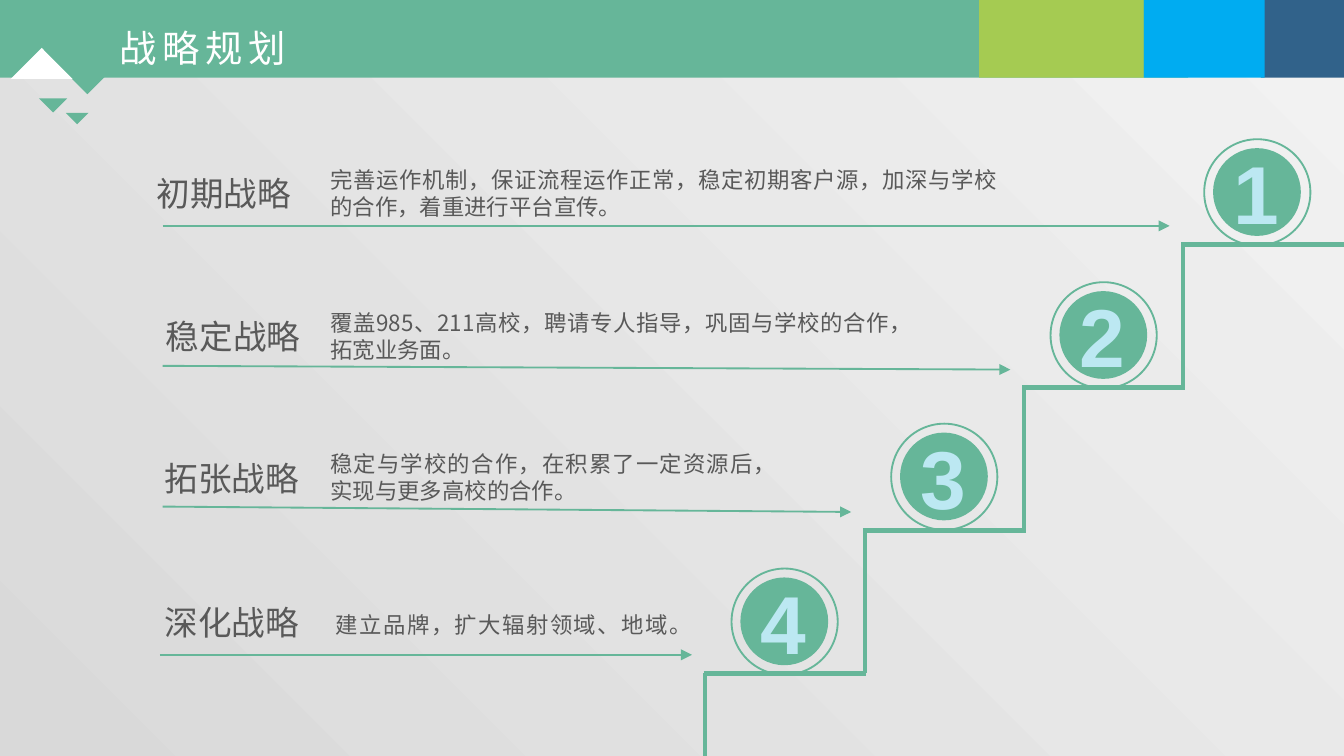
from dataclasses import dataclass

from lxml import etree
from pptx import Presentation
from pptx import util as u
from pptx.dml.color import RGBColor
from pptx.enum import shapes, text
from pptx.oxml.ns import qn


@dataclass
class Theme:
    green: str = "66B699"
    lime: str = "A5CB52"
    sky: str = "00ACF1"
    navy: str = "31628A"
    white: str = "FFFFFF"
    ink: str = "595959"
    pale: str = "BCE8F2"
    dark: str = "D9D9D9"
    light: str = "F2F2F2"
    head: int = 20
    label: int = 18
    body: int = 12
    digit: int = 44
    thin: float = 1
    thick: float = 2.25
    hans: str = "Noto Sans CJK SC"
    latin: str = "Arial"


def tint(code):
    return RGBColor.from_string(code)


class Deck:
    def __init__(self, theme):
        self.theme = theme
        self.show = Presentation()
        self.show.slide_width = u.Pt(720)
        self.show.slide_height = u.Pt(405)
        self.slide = self.show.slides.add_slide(self.show.slide_layouts[5])
        self.items = self.slide.shapes

    def back(self):
        fill = self.slide.background.fill
        fill.gradient()
        fill.gradient_angle = 45
        for stop, code in zip(fill.gradient_stops, (self.theme.dark, self.theme.light)):
            stop.color.rgb = tint(code)

    def paint(self, shape, fill=None, line=None, width=0):
        shape.shadow.inherit = False
        if fill:
            shape.fill.solid()
            shape.fill.fore_color.rgb = tint(fill)
        else:
            shape.fill.background()
        if line:
            shape.line.color.rgb = tint(line)
            shape.line.width = u.Pt(width)
        else:
            shape.line.fill.background()

    def block(self, x, y, w, h, fill):
        kind = shapes.MSO_SHAPE.RECTANGLE
        self.paint(self.items.add_shape(kind, *map(u.Pt, (x, y, w, h))), fill)

    def disc(self, x, y, size, fill, width):
        kind = shapes.MSO_SHAPE.OVAL
        oval = self.items.add_shape(kind, *map(u.Pt, (x, y, size, size)))
        self.paint(oval, fill, self.theme.green, width)

    def wedge(self, x, y, w, h, fill):
        pen = self.items.build_freeform(u.Pt(x), u.Pt(y))
        pen.add_line_segments([(u.Pt(x + w), u.Pt(y)), (u.Pt(x + w / 2), u.Pt(y + h))])
        self.paint(pen.convert_to_shape(), fill)

    def line(self, x1, y1, x2, y2, width, arrow=False):
        kind = shapes.MSO_CONNECTOR.STRAIGHT
        wire = self.items.add_connector(kind, *map(u.Pt, (x1, y1, x2, y2)))
        wire.line.color.rgb = tint(self.theme.green)
        wire.line.width = u.Pt(width)
        props = wire._element.spPr
        if arrow:
            etree.SubElement(props.find(qn("a:ln")), qn("a:tailEnd"), type="triangle")
        etree.SubElement(props, qn("a:effectLst"))

    def style(self, para, size, face, code, align, bold=False, space=0):
        para.alignment = align
        font = para.font
        font.size = u.Pt(size)
        font.bold = bold
        font.name = face
        font.color.rgb = tint(code)
        etree.SubElement(font._rPr, qn("a:ea"), typeface=face)
        if space:
            font._rPr.set("spc", str(space * 100))

    def title(self, words, x, y, w, h):
        box = self.items.title
        box.left, box.top, box.width, box.height = map(u.Pt, (x, y, w, h))
        frame = box.text_frame
        frame.text = words
        frame.margin_left = frame.margin_right = 0
        frame.margin_top = frame.margin_bottom = 0
        frame.vertical_anchor = text.MSO_ANCHOR.TOP
        frame.auto_size = text.MSO_AUTO_SIZE.SHAPE_TO_FIT_TEXT
        para = frame.paragraphs[0]
        para.line_spacing = 1.3
        self.style(para, self.theme.head, self.theme.hans, self.theme.white,
                   text.PP_ALIGN.LEFT, space=3)
        self.items._spTree.append(box._element)

    def note(self, words, x, y, w, h, size, face, code, align, bold=False, wrap=True):
        frame = self.items.add_textbox(*map(u.Pt, (x, y, w, h))).text_frame
        frame.word_wrap = wrap
        frame.auto_size = text.MSO_AUTO_SIZE.SHAPE_TO_FIT_TEXT
        frame.text = words
        self.style(frame.paragraphs[0], size, face, code, align, bold)

    def badge(self, digit, x, y):
        t = self.theme
        self.disc(x, y, 56.9, None, t.thin)
        self.disc(x + 5.9, y + 5.9, 44.8, t.green, t.thick)
        self.note(digit, x + 8.6, y - 1.6, 39.6, 60.5, t.digit, t.latin, t.pale,
                  text.PP_ALIGN.LEFT, bold=True, wrap=False)


STEP_X, STEP_Y = 85.3, 76.6
PLANS = [
    ("初期战略", "完善运作机制，保证流程运作正常，稳定初期客户源，加深与学校的合作，着重进行平台宣传。",
     (645.1, 74.6), (75.6, 88.6), (169.9, 85.7, 371.5, 36), (87.1, 121, 121)),
    ("稳定战略", "覆盖985、211高校，聘请专人指导，巩固与学校的合作，拓宽业务面。",
     (562.8, 151.2), (79.9, 90), (169.9, 162, 326.2, 36), (87.1, 196, 198)),
    ("拓张战略", "稳定与学校的合作，在积累了一定资源后，实现与更多高校的合作。",
     (477.4, 227), (79.2, 90), (169.9, 237.6, 241.2, 36), (87.1, 271.4, 274.3)),
    ("深化战略", "建立品牌，扩大辐射领域、地域。",
     (391.9, 304.6), (79.2, 90), (172.8, 324, 193, 21.6), (85.7, 350.8, 350.8)),
]


def main():
    t = Theme()
    deck = Deck(t)
    deck.back()
    for x, w, code in ((0, 636.5, t.green), (675.4, 44.6, t.navy),
                       (612.7, 64.8, t.sky), (524.5, 88.2, t.lime)):
        deck.block(x, 0, w, 41.6, code)
    deck.title("战略规划", 64.1, 6.5, 136.8, 28.1)
    for x, y, w, h, code in ((34.6, 38.2, 24.5, 12.3, t.green),
                             (35.3, 60.5, 12.2, 6.1, t.green),
                             (5.8, 42.3, 33.1, -16.6, t.white),
                             (20.9, 52.7, 15.1, 7.6, t.green)):
        deck.wedge(x, y, w, h, code)

    for i, (label, words, ring, name, body, arrow) in enumerate(PLANS):
        x, y = 633.8 - STEP_X * i, 131 + STEP_Y * i
        deck.line(x - 0.9, y, min(x + STEP_X + 0.9, 720), y, t.thick)
        deck.line(x, y, x, min(y + STEP_Y, 405), t.thick)
        deck.badge(str(i + 1), *ring)
        start, y1, y2 = arrow
        deck.line(start, y1, x - 7.2, y2, t.thin, arrow=True)
        left, wide = name
        deck.note(label, left, ring[1] + 14.6, wide, 28.8, t.label, t.hans, t.ink,
                  text.PP_ALIGN.CENTER)
        deck.note(words, *body, t.body, t.hans, t.ink, text.PP_ALIGN.JUSTIFY)
    deck.show.save("out.pptx")


if __name__ == "__main__":
    main()
